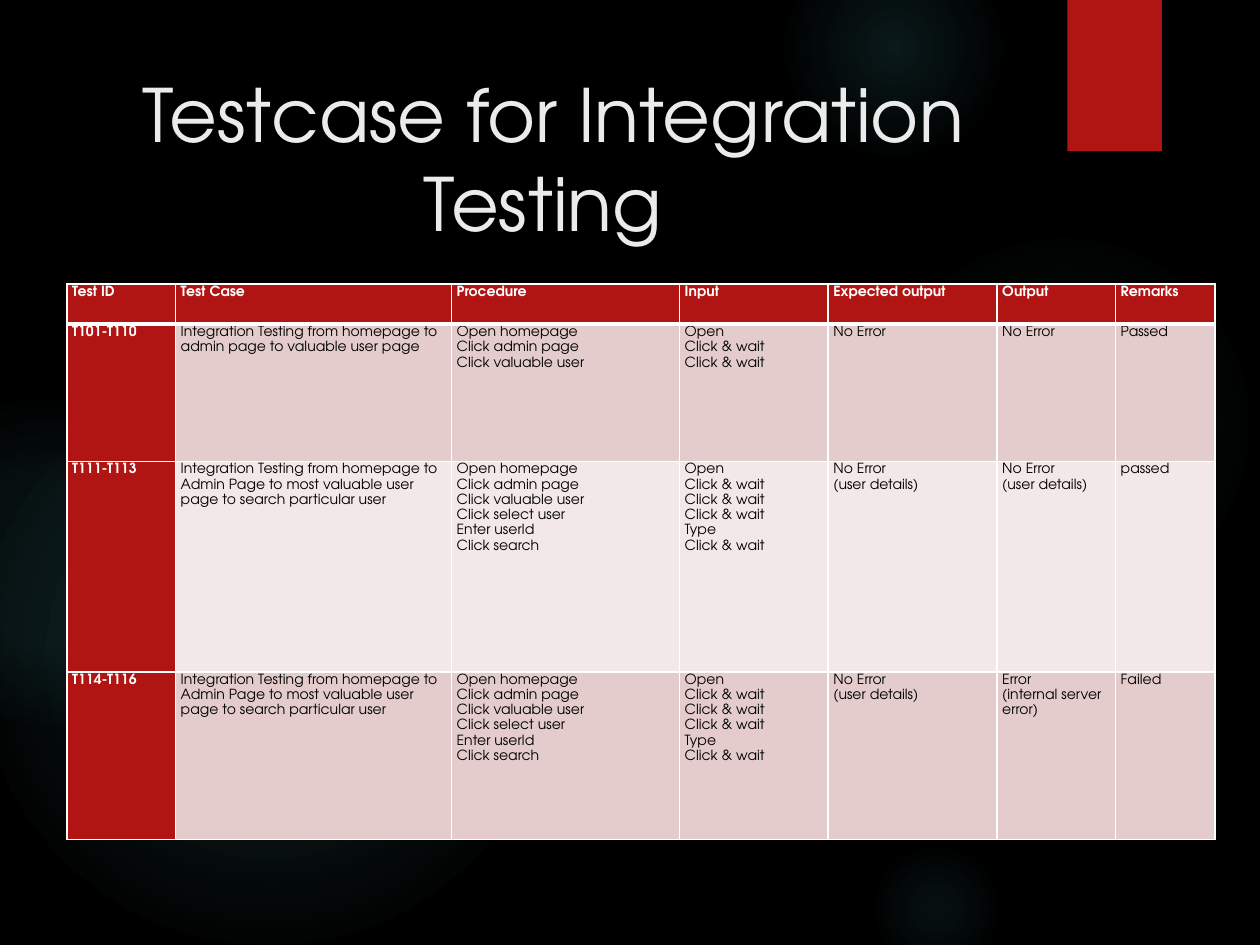
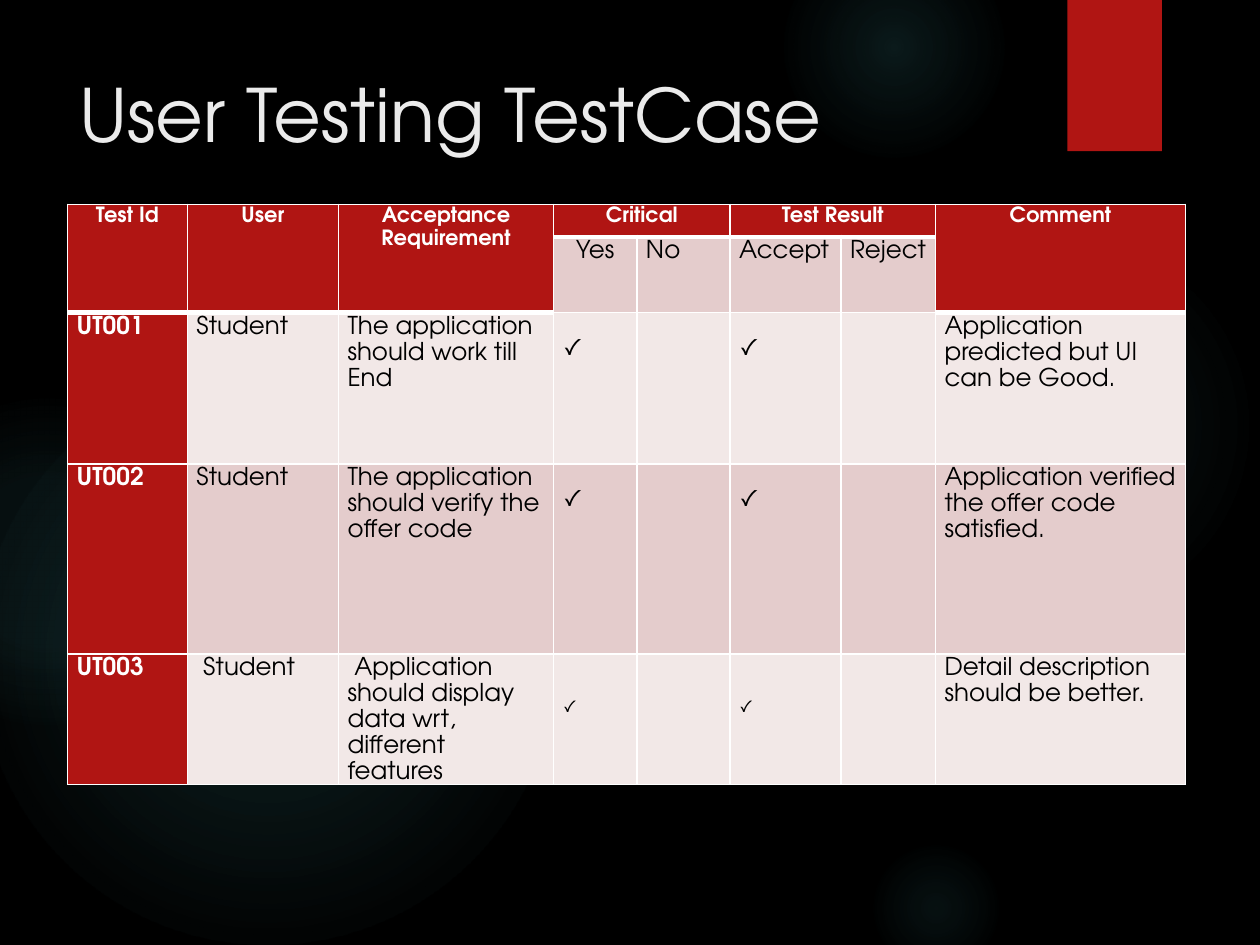
import pptx
import pptx.util
import pptx.dml.color
import pptx.enum.shapes
import pptx.enum.text
import pptx.oxml
import pptx.oxml.ns

Pt = pptx.util.Pt
ALIGN = pptx.enum.text.PP_ALIGN
SHAPE = pptx.enum.shapes.MSO_SHAPE

FONT = "TeX Gyre Adventor"
RED, ROSE, PALE = "B01513", "E4CCCC", "F2E8E7"
BLACK, WHITE, TITLE_GREY, TEAL = "000000", "FFFFFF", "EBEBEB", "50B9C1"
LINE_SPACING = 1.15
NS = pptx.oxml.ns.nsdecls("a")

# left, top, diameter, then (position %, opacity %) stops
GLOWS = [
    (496, 132, 222, ((0, 7), (36, 6), (69, 0))),
    (448, -36, 126, ((0, 14), (36, 7), (73, 0))),
    (496, 480, 78, ((0, 9), (36, 5), (66, 0))),
    (-12, 210, 330, ((0, 11), (36, 10), (75, 0))),
    (-66, 228, 186, ((0, 8), (36, 8), (72, 0))),
]

SEARCH_CASE = ("Integration Testing from homepage to Admin Page to most valuable "
               "user page to search particular user")
SEARCH_STEPS = ("Open homepage\nClick admin page\nClick valuable user\n"
                "Click select user\nEnter userId\nClick search")
SEARCH_INPUT = "Open\nClick & wait\nClick & wait\nClick & wait\nType\nClick & wait"
USER_DETAILS = "No Error\n(user details)"

INTEGRATION_ROWS = [
    ["Test ID", "Test Case", "Procedure", "Input", "Expected output", "Output", "Remarks"],
    ["T101-T110", "Integration Testing from homepage to admin page to valuable user page",
     "Open homepage\nClick admin page\nClick valuable user",
     "Open\nClick & wait\nClick & wait", "No Error", "No Error", "Passed"],
    ["T111-T113", SEARCH_CASE, SEARCH_STEPS, SEARCH_INPUT, USER_DETAILS, USER_DETAILS, "passed"],
    ["T114-T116", SEARCH_CASE, SEARCH_STEPS, SEARCH_INPUT, USER_DETAILS,
     "Error\n(internal server error)", "Failed"],
]
USER_ROWS = [
    ["Test Id", "User", "Acceptance Requirement", "Critical", "", "Test Result", "", "Comment"],
    ["", "", "", "Yes", "No", "Accept", "Reject", ""],
    ["UT001", "Student", "The application should work till End", "✓", "", "✓", "",
     "Application predicted but UI can be Good."],
    ["UT002", "Student", "The application should verify the offer code", "✓", "", "✓", "",
     "Application verified the offer code satisfied."],
    ["UT003", " Student", " Application should display data wrt, different features",
     "✓", "", "✓", "", "Detail description should be better."],
]
# first row, first column, last row, last column
USER_MERGES = [(0, 0, 1, 0), (0, 1, 1, 1), (0, 2, 1, 2), (0, 3, 0, 4), (0, 5, 0, 6), (0, 7, 1, 7)]


def color(hex_text):
    return pptx.dml.color.RGBColor.from_string(hex_text)


def write(frame, text, size=8, ink=BLACK, bold=False, align=ALIGN.LEFT, spacing=None):
    for index, line in enumerate(text.split("\n")):
        paragraph = frame.add_paragraph() if index else frame.paragraphs[0]
        paragraph.alignment = align
        paragraph.line_spacing = spacing
        run = paragraph.add_run()
        run.text = line
        run.font.name, run.font.size, run.font.bold = FONT, Pt(size), bold
        run.font.color.rgb = color(ink)


def add_plain_shape(slide, kind, left, top, width, height, fill=RED):
    shape = slide.shapes.add_shape(kind, Pt(left), Pt(top), Pt(width), Pt(height))
    shape.shadow.inherit = False
    shape.fill.solid()
    shape.fill.fore_color.rgb = color(fill)
    shape.line.fill.background()
    return shape


def add_glow(slide, left, top, diameter, stops):
    glow = add_plain_shape(slide, SHAPE.OVAL, left, top, diameter, diameter, TEAL)
    stop_xml = "".join(
        f'<a:gs pos="{place * 1000}"><a:srgbClr val="{TEAL}">'
        f'<a:alpha val="{opacity * 1000}"/></a:srgbClr></a:gs>' for place, opacity in stops)
    gradient = pptx.oxml.parse_xml(
        f'<a:gradFill {NS}><a:gsLst>{stop_xml}</a:gsLst><a:path path="circle">'
        '<a:fillToRect l="50000" t="50000" r="50000" b="50000"/></a:path></a:gradFill>')
    properties = glow.element.spPr
    properties.replace(properties.find(pptx.oxml.ns.qn("a:solidFill")), gradient)
    return glow


def add_ribbon(slide):
    ribbon = add_plain_shape(slide, SHAPE.RECTANGLE, 610, 0, 54, 86.4)
    effects = ribbon.element.spPr.find(pptx.oxml.ns.qn("a:effectLst"))
    effects.append(pptx.oxml.parse_xml(
        f'<a:outerShdw {NS} blurRad="38100" dist="25400" dir="5400000" rotWithShape="0">'
        f'<a:srgbClr val="{BLACK}"><a:alpha val="45000"/></a:srgbClr></a:outerShdw>'))
    return ribbon


def decorate_master(master, slide):
    """Draw the backdrop on a slide, then move it behind everything on the master."""
    master.background.fill.solid()
    master.background.fill.fore_color.rgb = color(BLACK)
    backdrop = [add_glow(slide, *glow) for glow in GLOWS] + [add_ribbon(slide)]
    for position, shape in enumerate(backdrop, start=2):
        master.shapes.element.insert(position, shape.element)


def set_title(slide, text, align=ALIGN.LEFT):
    title = slide.shapes.title
    title.left, title.top, title.width, title.height = Pt(38), Pt(36), Pt(556), Pt(110)
    title.text_frame.auto_size = pptx.enum.text.MSO_AUTO_SIZE.NONE
    title.text_frame.vertical_anchor = pptx.enum.text.MSO_ANCHOR.TOP
    write(title.text_frame, text, size=42, ink=TITLE_GREY, align=align)


def set_borders(cell, top, bottom):
    properties = cell._tc.get_or_add_tcPr()
    for index, (side, width) in enumerate(
            (("lnL", 1), ("lnR", 1), ("lnT", top), ("lnB", bottom))):
        properties.insert(index, pptx.oxml.parse_xml(
            f'<a:{side} {NS} w="{Pt(width)}"><a:solidFill><a:srgbClr val="{WHITE}"/>'
            f'</a:solidFill></a:{side}>'))


def add_test_table(slide, left, top, widths, heights, rows, merges=(), inset=3,
                   head_size=8, body_size=8, head_align=ALIGN.LEFT, bands=(ROSE, PALE)):
    table = slide.shapes.add_table(len(rows), len(widths), Pt(left), Pt(top),
                                   Pt(sum(widths)), Pt(sum(heights))).table
    for column, width in zip(table.columns, widths):
        column.width = Pt(width)
    for row, height in zip(table.rows, heights):
        row.height = Pt(height)
    for first_row, first_column, last_row, last_column in merges:
        table.cell(first_row, first_column).merge(table.cell(last_row, last_column))

    def is_header(r, c):
        return r == 0 or table.cell(r, c).is_spanned

    for r, texts in enumerate(rows):
        for c, text in enumerate(texts):
            cell, header = table.cell(r, c), is_header(r, c)
            cell.margin_left = cell.margin_right = Pt(inset)
            cell.margin_top = cell.margin_bottom = 0
            cell.fill.solid()
            red = header or c == 0
            cell.fill.fore_color.rgb = color(RED if red else bands[(r - 1) % 2])
            set_borders(cell, 3 if r and is_header(r - 1, c) else 1, 3 if header else 1)
            if text == "✓":
                last = r == len(rows) - 1
                cell.margin_top = Pt(26 if last else 14)
                write(cell.text_frame, text, size=10 if last else 14)
            elif text:
                centred = header or text == "Yes"
                write(cell.text_frame, text, size=head_size if header else body_size,
                      ink=WHITE if red else BLACK, bold=red, spacing=LINE_SPACING,
                      align=head_align if centred else ALIGN.LEFT)


def main():
    deck = pptx.Presentation()
    deck.slide_width, deck.slide_height = Pt(720), Pt(540)
    title_only = deck.slide_layouts[5]

    # Integration testing
    integration = deck.slides.add_slide(title_only)
    decorate_master(deck.slide_master, integration)
    set_title(integration, "Testcase for Integration Testing ", ALIGN.CENTER)
    add_test_table(integration, 38.3, 162.2, [62, 157.7, 130.3, 85, 96.5, 67.7, 57],
                   [23, 78.5, 120.2, 96], INTEGRATION_ROWS)

    # User testing
    user = deck.slides.add_slide(title_only)
    set_title(user, "User Testing TestCase")
    add_test_table(user, 38.6, 116.8, [68.4, 86.4, 123, 47.5, 53.3, 63.4, 54, 142.9],
                   [18.7, 43.2, 86.4, 108.7, 74.5], USER_ROWS, USER_MERGES, inset=5.2,
                   head_size=12, body_size=14, head_align=ALIGN.CENTER)

    deck.save("out.pptx")


if __name__ == "__main__":
    main()
